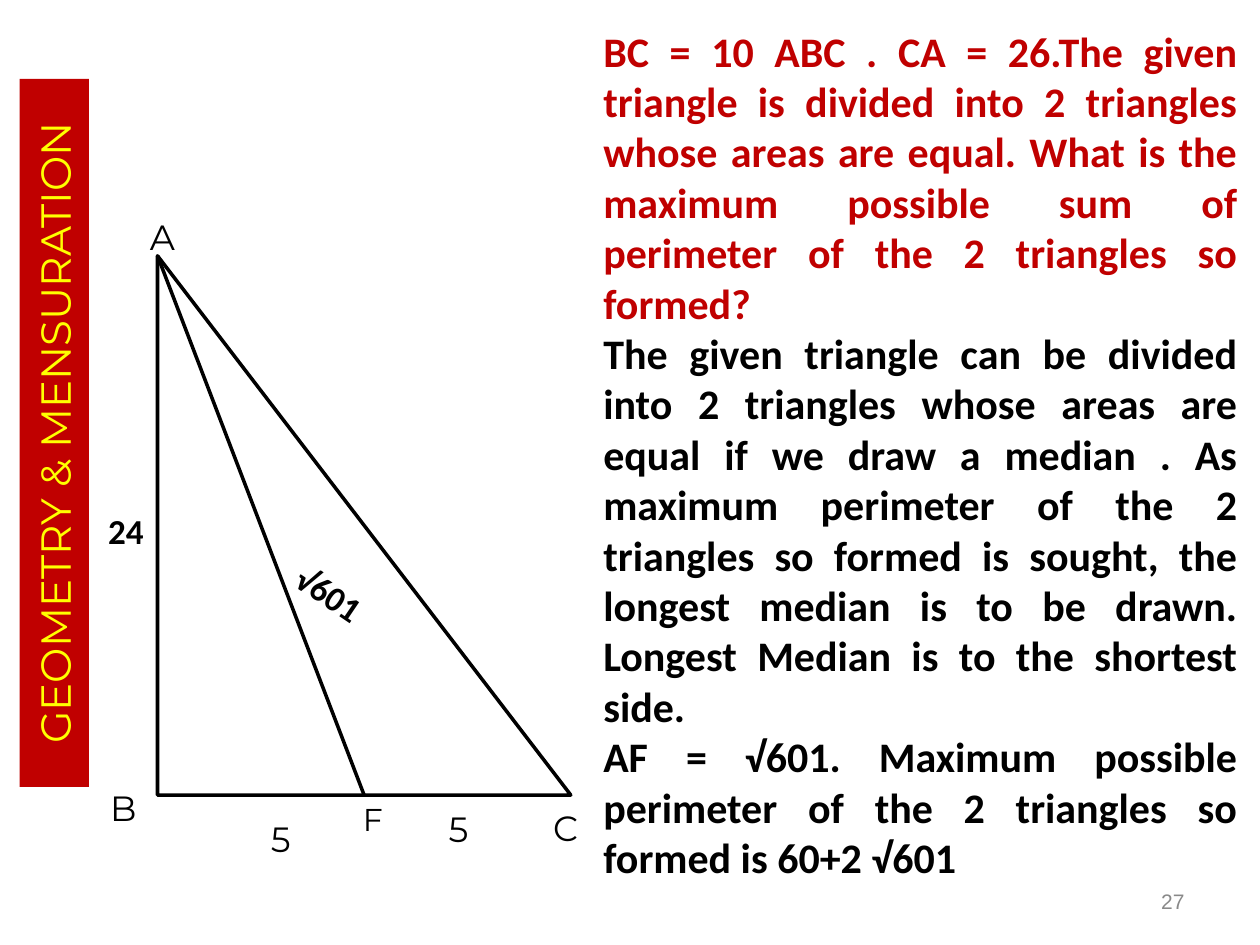
from pptx import Presentation
from pptx.dml.color import RGBColor
from pptx.enum.shapes import MSO_CONNECTOR as CONNECTOR, MSO_SHAPE as SHAPE
from pptx.enum.text import MSO_ANCHOR as ANCHOR, MSO_AUTO_SIZE as AUTO, PP_ALIGN as ALIGN
from pptx.oxml.ns import qn
from pptx.util import Inches, Pt
from lxml import etree

COLORS = {"red": "C00000", "yellow": "FFFF00", "black": "000000",
          "white": "FFFFFF", "grey": "898989"}
HEADING_FONT, BODY_FONT = "Montserrat", "Calibri"

QUESTION = ("BC = 10 ABC . CA = 26.The given triangle is divided into 2 triangles "
            "whose areas are equal. What is the maximum possible sum of perimeter "
            "of the 2 triangles so formed?")
REASONING = ("The given triangle can be divided into 2 triangles whose areas are equal "
             "if we draw a median . As maximum perimeter of the 2 triangles so formed "
             "is sought, the longest median is to be drawn. Longest Median is to the "
             "shortest side.")
ANSWER = ("AF = √601. Maximum possible perimeter of the 2 triangles so formed "
          "is 60+2 √601")


def rgb(name):
    return RGBColor.from_string(COLORS[name])


def write(paragraph, text, size, font, color="black", bold=False, align=ALIGN.CENTER):
    paragraph.alignment = align
    run = paragraph.add_run()
    run.text = text
    run.font.size = Pt(size)
    run.font.name = font
    run.font.bold = bold
    run.font.color.rgb = rgb(color)


def add_label(slide, box, text, size=20, font=HEADING_FONT, color="black", bold=False,
              align=ALIGN.CENTER, anchor=ANCHOR.MIDDLE, wrap=True, rotation=0):
    label = slide.shapes.add_textbox(*map(Inches, box))
    label.rotation = rotation
    frame = label.text_frame
    frame.word_wrap = wrap
    frame.vertical_anchor = anchor
    write(frame.paragraphs[0], text, size, font, color, bold, align)


def add_banner(slide, left, top, width, height):
    banner = slide.shapes.title
    banner.left, banner.top = Inches(left), Inches(top)
    banner.width, banner.height = Inches(width), Inches(height)
    banner.rotation = 270
    banner.fill.solid()
    banner.fill.fore_color.rgb = rgb("red")
    frame = banner.text_frame
    frame.auto_size = AUTO.NONE
    frame.vertical_anchor = ANCHOR.MIDDLE
    write(frame.paragraphs[0], "GEOMETRY & MENSURATION", 24, HEADING_FONT, "yellow")


def add_triangle(slide, left, top, width, height):
    triangle = slide.shapes.add_shape(SHAPE.ISOSCELES_TRIANGLE, Inches(left), Inches(top),
                                      Inches(width), Inches(height))
    triangle.adjustments[0] = 0
    triangle.shadow.inherit = False
    triangle.fill.solid()
    triangle.fill.fore_color.rgb = rgb("white")
    median = slide.shapes.add_connector(CONNECTOR.STRAIGHT, Inches(left + width / 2),
                                        Inches(top + height), Inches(left), Inches(top))
    etree.SubElement(median._element.spPr, qn("a:effectLst"))
    for edge in (triangle, median):
        edge.line.color.rgb = rgb("black")
        edge.line.width = Pt(2)

    base = top + height
    for vertex, dx, y in (("A", -0.39, top - 0.47), ("B", -0.7, base - 0.22),
                          ("C", width - 0.47, base - 0.06)):
        add_label(slide, (left + dx, y, 0.86, 0.63), vertex)
    for text, dx, dy, size in (("5", 0.8, 0.13, 20), ("5", 2.21, 0.05, 20),
                               ("F", 1.53, -0.01, 18)):
        add_label(slide, (left + dx, base + dy, 0.36, 0.44), text, size,
                  anchor=ANCHOR.TOP, wrap=False)
    add_label(slide, (left - 0.5, top + 2.03, 0.5, 0.3), "24", font=BODY_FONT, bold=True)
    add_label(slide, (left + 0.57, top + 2.4, 1.59, 0.56), "√601", font=BODY_FONT,
              bold=True, rotation=34.1)


def add_solution(slide, left, top, width, height):
    solution = slide.shapes.add_textbox(Inches(left), Inches(top),
                                        Inches(width), Inches(height))
    frame = solution.text_frame
    frame.word_wrap = True
    parts = ((QUESTION, "red"), (REASONING, "black"), (ANSWER, "black"))
    for index, (text, color) in enumerate(parts):
        paragraph = frame.add_paragraph() if index else frame.paragraphs[0]
        write(paragraph, text, 24, BODY_FONT, color, True, ALIGN.JUSTIFY)


def main():
    deck = Presentation()
    deck.slide_width, deck.slide_height = Inches(10), Inches(7.5)
    slide = deck.slides.add_slide(deck.slide_layouts[5])
    add_label(slide, (7.17, 6.95, 2.33, 0.4), "27", 12, "Arial", "grey", align=ALIGN.RIGHT)
    add_triangle(slide, 1.25, 2.03, 3.28, 4.28)
    add_solution(slide, 4.69, 0.15, 5.23, 7.04)
    add_banner(slide, -2.38, 3.16, 5.62, 0.55)
    deck.save("out.pptx")


if __name__ == "__main__":
    main()
